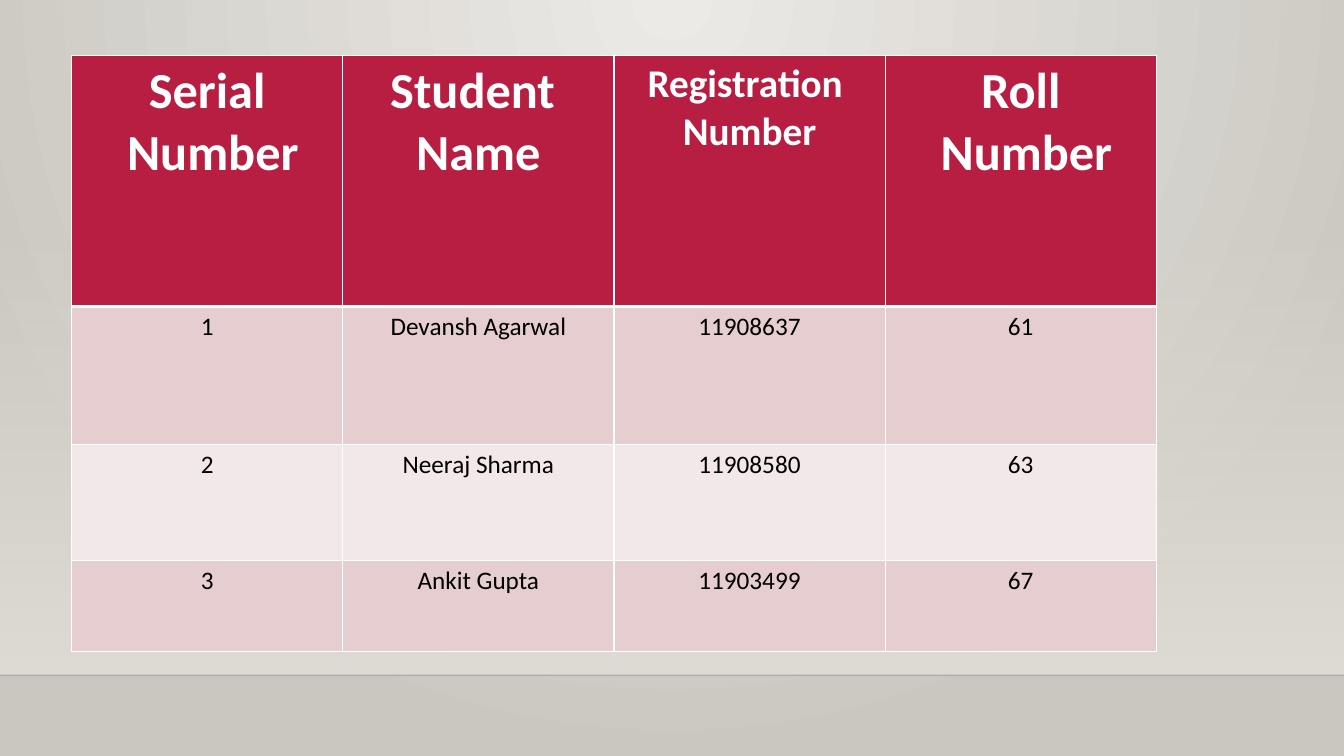
from pptx import Presentation
from pptx import util as u
from pptx.dml.color import RGBColor
from pptx.enum import shapes, text
from pptx.oxml import parse_xml
from pptx.oxml.ns import nsdecls, qn

W, H = 13.33, 7.5
FLOOR = 6.7
WHITE, BLACK, RED = "FFFFFF", "000000", "B71E42"
BANDS = ["E6CDCF", "F3E8E9"]
COL_W = 2.69
ROW_HEIGHTS = [2.49, 1.37, 1.15, 0.9]
HEADERS = [("Serial\n Number", 36), ("Student \nName", 36),
           ("Registration \nNumber", 28), ("Roll\n Number", 36)]
STUDENTS = [("1", "Devansh Agarwal", "11908637", "61"),
            ("2", "Neeraj Sharma", "11908580", "63"),
            ("3", "Ankit Gupta", "11903499", "67")]


def rgb(value):
    return RGBColor.from_string(value)


def xml(tag, attrs="", inner=""):
    return parse_xml(f'<a:{tag} {nsdecls("a")} {attrs}>{inner}</a:{tag}>')


def set_alpha(color, percent):
    color.append(xml("alpha", f'val="{percent * 1000}"'))


def paint_gradient(fill, owner, colors):
    fill.gradient()
    for stop, color, position in zip(fill.gradient_stops, colors, (0, 1)):
        stop.color.rgb = rgb(color)
        stop.position = position
    return next(owner.iter(qn("a:gradFill")))


def add_backdrop(slide, w, h, floor):
    grad = paint_gradient(slide.background.fill, slide.element, ["ECEAE7", "CAC7C1"])
    grad.replace(grad.find(qn("a:lin")), xml(
        "path", 'path="circle"', '<a:fillToRect l="43000" r="43000" b="100000"/>'))

    top = 2.21
    sp = slide.shapes.add_shape(shapes.MSO_SHAPE.RECTANGLE, 0, u.Inches(top),
                                u.Inches(w), u.Inches(floor - top))
    sp.shadow.inherit = False
    sp.line.fill.background()
    grad = paint_gradient(sp.fill, sp._element, ["DFDBD5", "DFDBD5"])
    sp.fill.gradient_angle = 270
    set_alpha(next(grad.iter(qn("a:srgbClr"))), 0)

    line = slide.shapes.add_connector(shapes.MSO_CONNECTOR.STRAIGHT, 0, u.Inches(floor),
                                      u.Inches(w), u.Inches(floor))
    line.line.color.rgb = rgb("000001")
    line.line.width = u.Pt(1)
    set_alpha(next(line._element.spPr.iter(qn("a:srgbClr"))), 20)
    line._element.spPr.append(xml("effectLst"))


def set_borders(cell, **widths):
    tc_pr = cell._tc.get_or_add_tcPr()
    for side in "LRTB":
        tc_pr.append(xml(f"ln{side}", f'w="{u.Pt(widths.get(side, 1))}"',
                         f'<a:solidFill><a:srgbClr val="{WHITE}"/></a:solidFill>'))


def fill_cell(cell, words, fill, borders, font):
    set_borders(cell, **borders)
    cell.fill.solid()
    cell.fill.fore_color.rgb = rgb(fill)
    tf = cell.text_frame
    for i, words_line in enumerate(words.split("\n")):
        p = tf.paragraphs[0] if i == 0 else tf.add_paragraph()
        p.alignment = text.PP_ALIGN.CENTER
        r = p.add_run()
        r.text = words_line
        r.font.color.rgb = rgb(font["color"])
        for name in ("name", "size", "bold"):
            setattr(r.font, name, font[name])


def add_student_table(slide, left, top):
    frame = slide.shapes.add_table(
        len(ROW_HEIGHTS), len(HEADERS), u.Inches(left), u.Inches(top),
        u.Inches(COL_W * len(HEADERS)), u.Inches(sum(ROW_HEIGHTS)))
    table = frame.table
    table.horz_banding = False
    for column in table.columns:
        column.width = u.Inches(COL_W)
    for row, height in zip(table.rows, ROW_HEIGHTS):
        row.height = u.Inches(height)

    for c, (words, size) in enumerate(HEADERS):
        font = dict(name="Calibri", size=u.Pt(size), bold=True, color=WHITE)
        fill_cell(table.cell(0, c), words, RED, {"B": 3}, font)
    font = dict(name="Calibri", size=u.Pt(18), bold=False, color=BLACK)
    for r, student in enumerate(STUDENTS):
        borders = {"T": 3} if r == 0 else {}
        for c, words in enumerate(student):
            fill_cell(table.cell(r + 1, c), words, BANDS[r % 2], borders, font)


def main():
    prs = Presentation()
    prs.slide_width, prs.slide_height = u.Inches(W), u.Inches(H)
    slide = prs.slides.add_slide(prs.slide_layouts[6])
    add_backdrop(slide, W, H, FLOOR)
    add_student_table(slide, 0.71, 0.55)
    prs.save("out.pptx")


if __name__ == "__main__":
    main()
